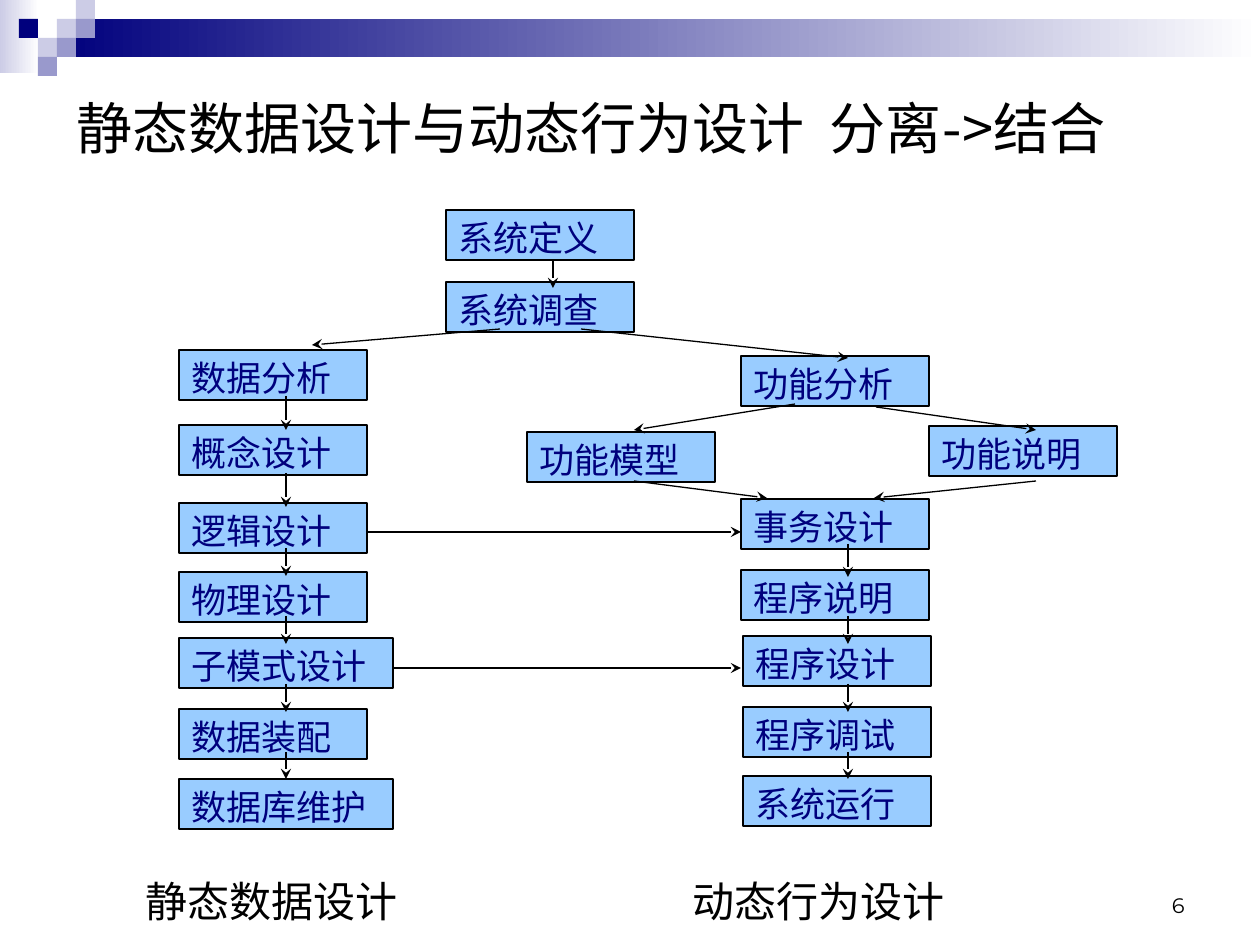
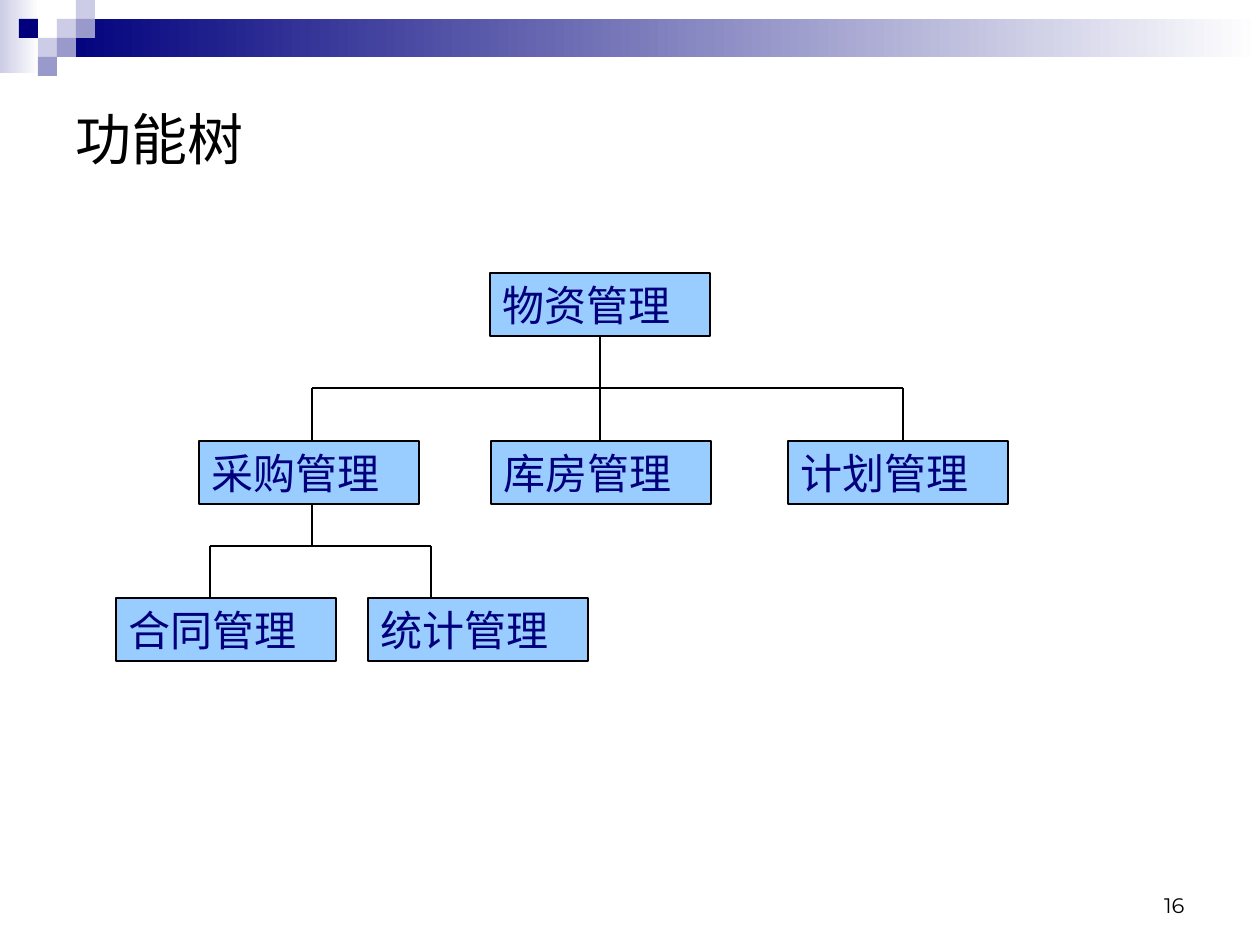
"""Build two slides on separating and combining data design and behaviour design."""
from lxml import etree
from pptx import Presentation
from pptx import util as u
from pptx.dml.color import RGBColor
from pptx.enum import shapes, text
from pptx.oxml.ns import qn

PX = 914400 / 126
NAVY = RGBColor(0x00, 0x00, 0x7D)
MID = RGBColor(0x99, 0x99, 0xCC)
PALE = RGBColor(0xCC, 0xCC, 0xE6)
SKY = RGBColor(0x99, 0xCC, 0xFF)
BLACK = RGBColor(0, 0, 0)
WHITE = RGBColor(255, 255, 255)
CJK_FONT = "Noto Sans CJK SC"
BODY_FONT = "Times New Roman"
LEFT, CENTER, RIGHT = text.PP_ALIGN.LEFT, text.PP_ALIGN.CENTER, text.PP_ALIGN.RIGHT
TOP, MIDDLE, BOTTOM = text.MSO_ANCHOR.TOP, text.MSO_ANCHOR.MIDDLE, text.MSO_ANCHOR.BOTTOM

GRADIENTS = [((0, 0, 39, 73), PALE), ((57, 19, 1203, 38), NAVY)]
CELL = 19
MOSAIC = [(3, 1, PALE), (4, 0, PALE), (4, 1, MID), (2, 2, PALE),
          (1, 1, NAVY), (3, 2, MID), (2, 3, MID)]
NUMBER_AREA = (903, 861, 294, 63)

DESIGN = {
    "title": "静态数据设计与动态行为设计  分离->结合",
    "title_area": (64, 89, 1113, 77), "title_font": CJK_FONT, "number": "6",
    "box_size": (188, 50), "text_size": 20,
    "boxes": [
        ("系统定义", 446, 210), ("系统调查", 446, 282),
        ("数据分析", 179, 350), ("概念设计", 179, 425), ("逻辑设计", 179, 503),
        ("物理设计", 179, 572), ("子模式设计", 179, 638), ("数据装配", 179, 709),
        ("数据库维护", 179, 779),
        ("功能分析", 741, 356), ("功能模型", 527, 432), ("功能说明", 929, 426),
        ("事务设计", 741, 499), ("程序说明", 741, 570), ("程序设计", 743, 636),
        ("程序调试", 743, 707), ("系统运行", 743, 776)],
}
WIDE_BOX = 214
COLUMN_ARROWS = {
    553: [(261, 288)],
    286: [(396, 430), (473, 507), (548, 576), (616, 644), (684, 712), (752, 779)],
    848: [(544, 577), (616, 644), (684, 712), (752, 779)],
}
CROSS_ARROWS = [
    (500, 329, 312, 345), (581, 329, 848, 358), (795, 404, 634, 430),
    (876, 407, 1036, 430), (634, 481, 767, 498), (1036, 481, 874, 498),
    (393, 668, 741, 668), (366, 532, 741, 532)]
CAPTIONS = [("静态数据设计", 113), ("动态行为设计", 660)]

TREE = {
    "title": "功能树", "title_area": (63, 81, 667, 115), "title_font": "Arial",
    "number": "16", "box_size": (220, 63), "text_size": 24,
    "boxes": [("物资管理", 490, 273), ("采购管理", 199, 441), ("库房管理", 491, 441),
              ("计划管理", 788, 441), ("合同管理", 116, 598), ("统计管理", 368, 598)],
}
BRANCHES = [(600, 336, 388, 441, (312, 600, 903)), (312, 504, 546, 598, (210, 431))]


def emu(*lengths):
    return [u.Emu(round(length * PX)) for length in lengths]


def write(frame, words, size, font=BODY_FONT, color=BLACK, align=LEFT, anchor=TOP):
    frame.word_wrap = True
    frame.auto_size = text.MSO_AUTO_SIZE.NONE
    frame.vertical_anchor = anchor
    paragraph = frame.paragraphs[0]
    paragraph.text = words
    paragraph.alignment = align
    paragraph.font.name = font
    paragraph.font.size = u.Pt(size)
    paragraph.font.color.rgb = color
    defaults = paragraph._p.pPr.find(qn("a:defRPr"))
    etree.SubElement(defaults, qn("a:ea"), typeface=CJK_FONT)


def add_label(slide, area, words, size, **style):
    write(slide.shapes.add_textbox(*emu(*area)).text_frame, words, size, **style)


def add_rectangle(slide, area, color):
    shape = slide.shapes.add_shape(shapes.MSO_SHAPE.RECTANGLE, *emu(*area))
    shape.shadow.inherit = False
    shape.fill.solid()
    shape.fill.fore_color.rgb = color
    shape.line.fill.background()
    return shape


def decorate(layout, slide):
    """Draw the band and mosaic, then move them to the shared layout."""
    band = []
    for area, color in GRADIENTS:
        shape = add_rectangle(slide, area, color)
        shape.fill.gradient()
        shape.fill.gradient_angle = 0
        for stop, stop_color in zip(shape.fill.gradient_stops, (color, WHITE)):
            stop.color.rgb = stop_color
        band.append(shape)
    for column, row, color in MOSAIC:
        area = (column * CELL, row * CELL, CELL, CELL)
        band.append(add_rectangle(slide, area, color))
    for shape in band:
        layout.shapes.element.append(shape.element)


def add_boxes(slide, content):
    """Draw the boxes and return their side middles as connection sites."""
    sites = {}
    for words, left, top in content["boxes"]:
        width, height = content["box_size"]
        if len(words) > 4:
            width = WIDE_BOX
        box = add_rectangle(slide, (left, top, width, height), SKY)
        box.line.color.rgb = BLACK
        box.line.width = u.Pt(0.75)
        write(box.text_frame, words, content["text_size"], color=NAVY)
        middle, center = left + width / 2, top + height / 2
        points = [(middle, top), (left, center), (middle, top + height), (left + width, center)]
        sites.update({point: (box, side) for side, point in enumerate(points)})
    return sites


def add_line(slide, sites, x1, y1, x2, y2, arrow=False):
    line = slide.shapes.add_connector(shapes.MSO_CONNECTOR.STRAIGHT, *emu(x1, y1, x2, y2))
    line.line.color.rgb = BLACK
    line.line.width = u.Pt(0.75)
    properties = line.element.spPr
    if arrow:
        etree.SubElement(properties.find(qn("a:ln")), qn("a:tailEnd"), type="stealth")
    etree.SubElement(properties, qn("a:effectLst"))
    if (x1, y1) in sites:
        line.begin_connect(*sites[x1, y1])
    if (x2, y2) in sites:
        line.end_connect(*sites[x2, y2])


def add_slide(presentation, layout, content):
    slide = presentation.slides.add_slide(layout)
    title = slide.shapes.title
    title.left, title.top, title.width, title.height = emu(*content["title_area"])
    write(title.text_frame, content["title"], 32, content["title_font"], anchor=MIDDLE)
    add_label(slide, NUMBER_AREA, content["number"], 12, font="Montserrat",
              align=RIGHT, anchor=BOTTOM)
    return slide, add_boxes(slide, content)


def main():
    presentation = Presentation()
    presentation.slide_width, presentation.slide_height = emu(1260, 945)
    layout = presentation.slide_layouts.get_by_name("Title Only")

    slide, sites = add_slide(presentation, layout, DESIGN)
    decorate(layout, slide)
    arrows = [(x, start, x, end) for x, spans in COLUMN_ARROWS.items() for start, end in spans]
    for arrow in arrows + CROSS_ARROWS:
        add_line(slide, sites, *arrow, arrow=True)
    for words, left in CAPTIONS:
        add_label(slide, (left, 869, 318, 63), words, 24, align=CENTER)

    slide, sites = add_slide(presentation, layout, TREE)
    for stem, top, bar, bottom, drops in BRANCHES:
        add_line(slide, sites, stem, top, stem, bar)
        add_line(slide, sites, drops[0], bar, drops[-1], bar)
        for drop in drops:
            add_line(slide, sites, drop, bar, drop, bottom)

    presentation.save("out.pptx")


if __name__ == "__main__":
    main()
